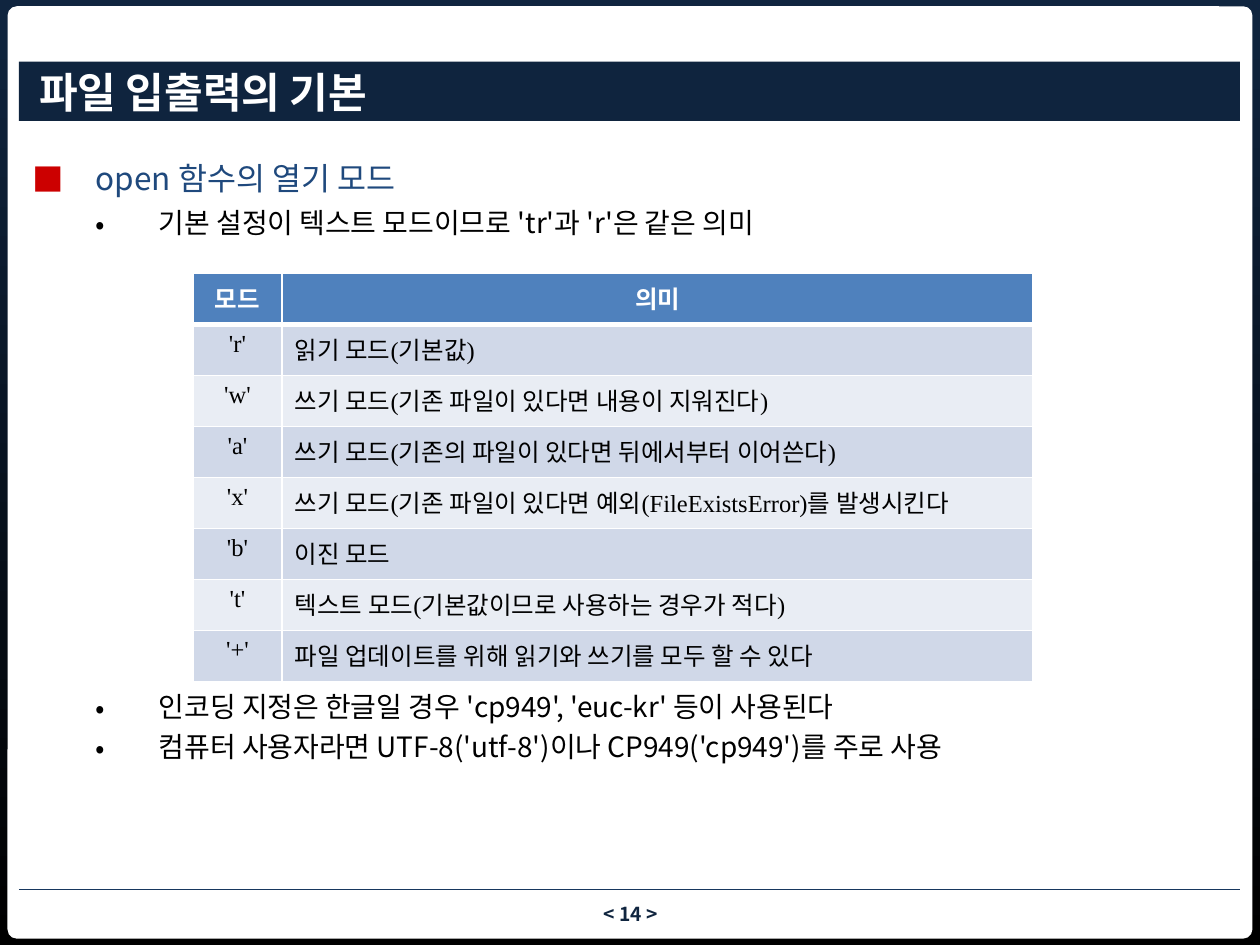
import lxml.etree
import pptx
import pptx.dml.color
import pptx.enum.shapes
import pptx.enum.text
import pptx.oxml.ns
import pptx.util

RGBColor = pptx.dml.color.RGBColor
Shape = pptx.enum.shapes.MSO_SHAPE
Align = pptx.enum.text.PP_ALIGN
Anchor = pptx.enum.text.MSO_ANCHOR
Pt = pptx.util.Pt
qn = pptx.oxml.ns.qn

WHITE = RGBColor(0xFF, 0xFF, 0xFF)
BLACK = RGBColor(0x00, 0x00, 0x00)
NAVY = RGBColor(0x10, 0x25, 0x3F)
TITLE_NAVY = RGBColor(0x0F, 0x24, 0x3E)
RULE_BLUE = RGBColor(0x17, 0x37, 0x5E)
HEADING_BLUE = RGBColor(0x1F, 0x49, 0x7D)
BULLET_RED = RGBColor(0xCC, 0x00, 0x00)
HEADER_BLUE = RGBColor(0x4F, 0x81, 0xBD)
BANDS = (RGBColor(0xD0, 0xD8, 0xE8), RGBColor(0xE9, 0xED, 0xF4))

SANS = "Noto Sans CJK KR"
SERIF = "Times New Roman"

MODES = [
    ("모드", "의미"),
    ("'r'", "읽기 모드(기본값)"),
    ("'w'", "쓰기 모드(기존 파일이 있다면 내용이 지워진다)"),
    ("'a'", "쓰기 모드(기존의 파일이 있다면 뒤에서부터 이어쓴다)"),
    ("'x'", "쓰기 모드(기존 파일이 있다면 예외(FileExistsError)를 발생시킨다"),
    ("'b'", "이진 모드"),
    ("'t'", "텍스트 모드(기본값이므로 사용하는 경우가 적다)"),
    ("'+'", "파일 업데이트를 위해 읽기와 쓰기를 모두 할 수 있다"),
]
HEADING = ("open 함수의 열기 모드", "■", BULLET_RED, HEADING_BLUE, 18, 0.5, 5)


def point(text):
    return (text, "•", BLACK, BLACK, 16, 1, 4)


class Deck:
    """Draws styled elements on a slide divided into 100 columns and 75 rows."""

    def __init__(self):
        self.prs = pptx.Presentation()
        self.prs.slide_width = pptx.util.Inches(10)
        self.prs.slide_height = pptx.util.Inches(7.5)
        self.s = self.prs.slides.add_slide(self.prs.slide_layouts[6])

    def place(self, *cells):
        units = (self.prs.slide_width / 100, self.prs.slide_height / 75)
        return [round(c * units[i % 2]) for i, c in enumerate(cells)]

    def background(self, top, bottom):
        fill = self.s.background.fill
        fill.gradient()
        fill.gradient_angle = 270
        for stop, color in zip(fill.gradient_stops, (top, bottom)):
            stop.color.rgb = color

    def style(self, p, size, color, bold=False, font=SANS):
        for r in p.runs:
            r.font.size, r.font.bold, r.font.name = Pt(size), bold, font
            r.font.color.rgb = color
            lxml.etree.SubElement(r._r.get_or_add_rPr(), qn("a:ea"), typeface=SANS)

    def panel(self, kind, cells, color):
        sp = self.s.shapes.add_shape(kind, *self.place(*cells))
        sp.shadow.inherit = False
        sp.fill.solid()
        sp.fill.fore_color.rgb = color
        sp.line.fill.background()
        return sp

    def frame(self, sp, anchor=Anchor.TOP, left=0):
        tf = sp.text_frame
        tf.word_wrap = True
        tf.vertical_anchor = anchor
        tf.margin_left = self.place(left)[0]
        tf.margin_top = tf.margin_right = tf.margin_bottom = 0
        return tf

    def label(self, sp, text, size, color, align, left=0):
        tf = self.frame(sp, Anchor.MIDDLE, left)
        tf.text = text
        tf.paragraphs[0].alignment = align
        self.style(tf.paragraphs[0], size, color, bold=True)

    def text_box(self, cells):
        return self.s.shapes.add_textbox(*self.place(*cells))

    def bullets(self, cells, items):
        tf = self.frame(self.text_box(cells))
        for i, (text, mark, mark_color, color, size, indent, after) in enumerate(items):
            p = tf.add_paragraph() if i else tf.paragraphs[0]
            p.text = text
            p.level = int(indent > 0.5)
            pPr = p._p.get_or_add_pPr()
            pPr.set("marL", str(pptx.util.Inches(indent)))
            pPr.set("indent", str(-pptx.util.Inches(0.5)))
            tint = lxml.etree.SubElement(pPr, qn("a:buClr"))
            lxml.etree.SubElement(tint, qn("a:srgbClr"), val=str(mark_color))
            lxml.etree.SubElement(pPr, qn("a:buFont"), typeface=SANS)
            lxml.etree.SubElement(pPr, qn("a:buChar"), char=mark)
            p.space_after = Pt(after)
            self.style(p, size, color)

    def rule(self, cells, color):
        line = self.s.shapes.add_connector(
            pptx.enum.shapes.MSO_CONNECTOR.STRAIGHT, *self.place(*cells))
        line.line.color.rgb = color
        line.line.width = Pt(1)
        lxml.etree.SubElement(line._element.spPr, qn("a:effectLst"))

    def borders(self, cell, color, bottom):
        tcPr = cell._tc.get_or_add_tcPr()
        for i, (side, width) in enumerate(zip("LRTB", (1, 1, 1, bottom))):
            ln = tcPr.makeelement(qn("a:ln" + side), {"w": str(Pt(width))})
            fill = lxml.etree.SubElement(ln, qn("a:solidFill"))
            lxml.etree.SubElement(fill, qn("a:srgbClr"), val=str(color))
            tcPr.insert(i, ln)

    def table(self, cells, rows, widths):
        frame = self.s.shapes.add_table(len(rows), len(widths), *self.place(*cells))
        table = frame.table
        for column, width in zip(table.columns, widths):
            column.width = self.place(width)[0]
        for i, row in enumerate(rows):
            header = i == 0
            for j, text in enumerate(row):
                cell = table.cell(i, j)
                cell.text = text
                cell.fill.solid()
                cell.fill.fore_color.rgb = HEADER_BLUE if header else BANDS[(i - 1) % 2]
                self.borders(cell, WHITE, 3 if header else 1)
                p = cell.text_frame.paragraphs[0]
                p.alignment = Align.CENTER if header or j == 0 else Align.LEFT
                self.style(p, 14, WHITE if header else BLACK, header, SERIF)


def main():
    deck = Deck()
    deck.background(NAVY, BLACK)
    page = deck.panel(Shape.ROUNDED_RECTANGLE, (0.6, 0.5, 98.8, 74), WHITE)
    page.adjustments[0] = 0.01
    deck.label(deck.text_box((39.2, 71.6, 21.7, 1.9)), "< 14 >", 11, NAVY, Align.CENTER)
    deck.rule((1.5, 70.6, 98.4, 70.6), RULE_BLUE)
    title = deck.panel(Shape.RECTANGLE, (1.5, 4.9, 96.9, 4.7), TITLE_NAVY)
    deck.label(title, "파일 입출력의 기본", 24, WHITE, Align.LEFT, left=1.6)
    deck.bullets((2.6, 12.6, 94.8, 8), [
        HEADING,
        point("기본 설정이 텍스트 모드이므로 'tr'과 'r'은 같은 의미"),
    ])
    deck.table((15.3, 21.7, 66.7, 32.4), MODES, (7.1, 59.6))
    deck.bullets((2.6, 54.7, 94.8, 8), [
        point("인코딩 지정은 한글일 경우 'cp949', 'euc-kr' 등이 사용된다"),
        point("컴퓨터 사용자라면 UTF-8('utf-8')이나 CP949('cp949')를 주로 사용"),
    ])
    deck.prs.save("out.pptx")


if __name__ == "__main__":
    main()
